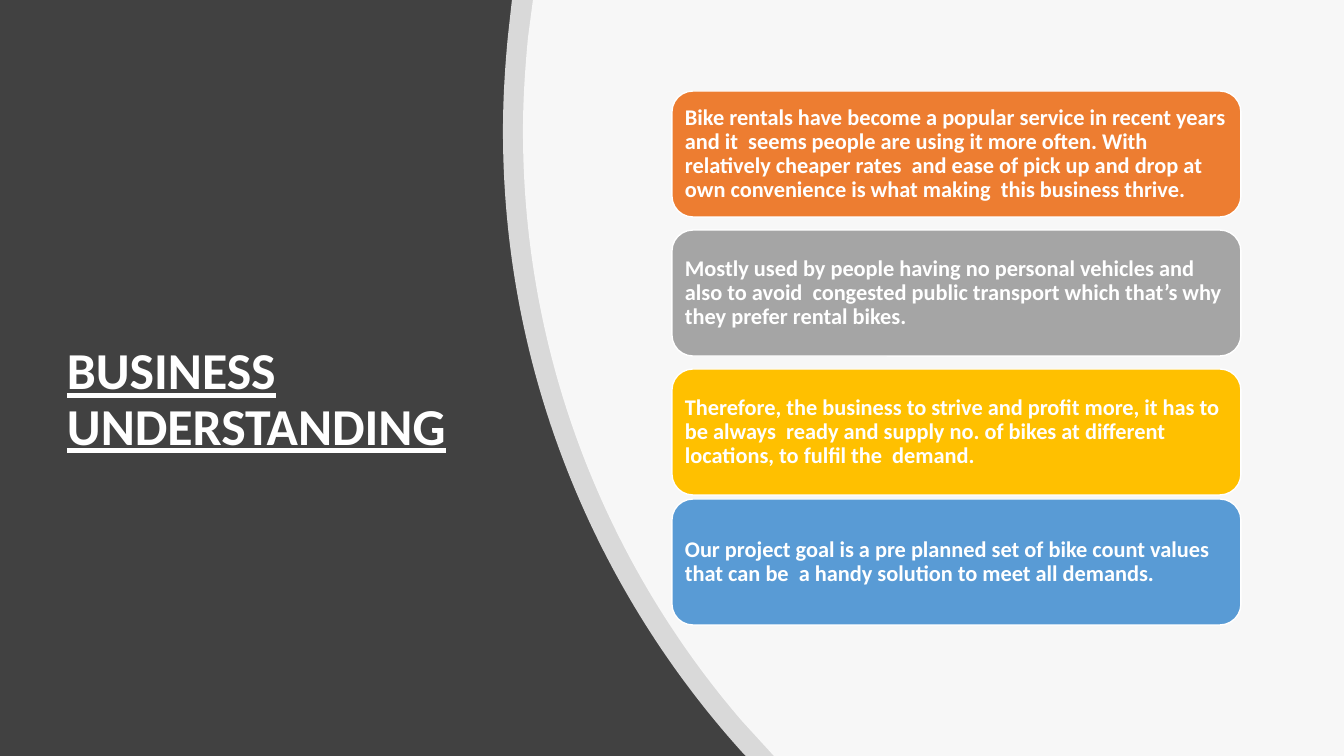
from lxml import etree
from pptx import Presentation
from pptx import util as u
from pptx.dml.color import RGBColor
from pptx.enum import shapes, text
from pptx.oxml.ns import qn

# Content
TITLE = "BUSINESS UNDERSTANDING"
CARDS = [  # top in px, fill, wording
    (91, "ED7D31", "Bike rentals have become a popular service in recent years and it  seems people "
     "are using it more often. With relatively cheaper rates  and ease of pick up and drop at own "
     "convenience is what making  this business thrive."),
    (230, "A5A5A5", "Mostly used by people having no personal vehicles and also to avoid  congested "
     "public transport which that’s why they prefer rental bikes."),
    (369, "FFC000", "Therefore, the business to strive and proﬁt more, it has to be always  ready and "
     "supply no. of bikes at different locations, to fulﬁl the  demand."),
    (499, "599BD5", "Our project goal is a pre planned set of bike count values that can be  a handy "
     "solution to meet all demands."),
]
# Each panel edge in px: top point, bottom corner, curve start, then two Bezier curves going up
PANEL_EDGES = [
    ((512, 0), (746, 756), (742, 752),
     [(594, 588), (503, 370), (503, 131), (503, 99), (505, 67), (508, 36)]),
    ((533, 0), (774, 756), (742, 721),
     [(606, 563), (523, 357), (523, 131), (523, 100), (525, 70), (528, 38)]),
]

# Theme and layout
THEME = {"font": "Calibri", "background": "414141", "white": "FFFFFF",
         "title_size": 37, "card_size": 16, "line_spacing": 0.9, "panel_alpha": 80}
SCALE = 914400 / 100.8
WIDTH, HEIGHT = 1344, 756
TITLE_BOX = (57, 154, 426, 494)
CARD_LEFT, CARD_WIDTH, CARD_HEIGHT = 672, 569, 126
CARD_PADDING = 6


def px(value):
    return u.Emu(round(value * SCALE))


def color(name):
    return RGBColor.from_string(THEME.get(name, name))


def add_text(parent, box, words, size, insets=(10, 5), underline=False):
    frame = parent.shapes.add_textbox(*map(px, box)).text_frame
    frame.word_wrap = True
    frame.vertical_anchor = text.MSO_ANCHOR.MIDDLE
    frame.margin_left = frame.margin_right = px(insets[0])
    frame.margin_top = frame.margin_bottom = px(insets[1])
    paragraph = frame.paragraphs[0]
    paragraph.line_spacing = THEME["line_spacing"]
    run = paragraph.add_run()
    run.text = words
    run.font.name = THEME["font"]
    run.font.size = u.Pt(THEME[size])
    run.font.bold = True
    run.font.underline = underline
    run.font.color.rgb = color("white")


def add_panel(slide, top, corner, curve_start, curve_points):
    outline = [(WIDTH, 0), (WIDTH, HEIGHT), corner, curve_start] + curve_points
    builder = slide.shapes.build_freeform(px(top[0]), px(top[1]), scale=1.0)
    builder.add_line_segments([(px(x), px(y)) for x, y in outline], close=True)
    panel = builder.convert_to_shape()
    panel.shadow.inherit = False
    panel.fill.solid()
    panel.fill.fore_color.rgb = color("white")
    panel.line.fill.background()
    properties = panel._element.spPr
    fill_color = properties.find(qn("a:solidFill")).find(qn("a:srgbClr"))
    etree.SubElement(fill_color, qn("a:alpha")).set("val", str(THEME["panel_alpha"] * 1000))

    # Join every three curve points into one Bezier segment
    segments = list(properties.iter(qn("a:lnTo")))[-len(curve_points):]
    for first in range(0, len(segments), 3):
        curve = etree.Element(qn("a:cubicBezTo"))
        segments[first].addprevious(curve)
        for segment in segments[first:first + 3]:
            curve.append(segment[0])
            segment.getparent().remove(segment)


def add_card(group, top, fill, words):
    card = group.shapes.add_shape(shapes.MSO_SHAPE.ROUNDED_RECTANGLE, px(CARD_LEFT), px(top),
                                  px(CARD_WIDTH), px(CARD_HEIGHT))
    card.shadow.inherit = False
    card.fill.solid()
    card.fill.fore_color.rgb = color(fill)
    card.line.color.rgb = color("white")
    card.line.width = u.Pt(1)
    text_box = (CARD_LEFT + CARD_PADDING, top + CARD_PADDING,
                CARD_WIDTH - 2 * CARD_PADDING, CARD_HEIGHT - 2 * CARD_PADDING)
    add_text(group, text_box, words, "card_size", insets=(7, 7))


def main():
    presentation = Presentation()
    presentation.slide_width, presentation.slide_height = px(WIDTH), px(HEIGHT)
    slide = presentation.slides.add_slide(presentation.slide_layouts[6])
    slide.background.fill.solid()
    slide.background.fill.fore_color.rgb = color("background")

    # Title on the dark side
    add_text(slide, TITLE_BOX, TITLE, "title_size", underline=True)

    # Two translucent curved panels
    for panel_edge in PANEL_EDGES:
        add_panel(slide, *panel_edge)

    # Statement cards
    group = slide.shapes.add_group_shape()
    for card in CARDS:
        add_card(group, *card)

    presentation.save("out.pptx")


if __name__ == "__main__":
    main()
